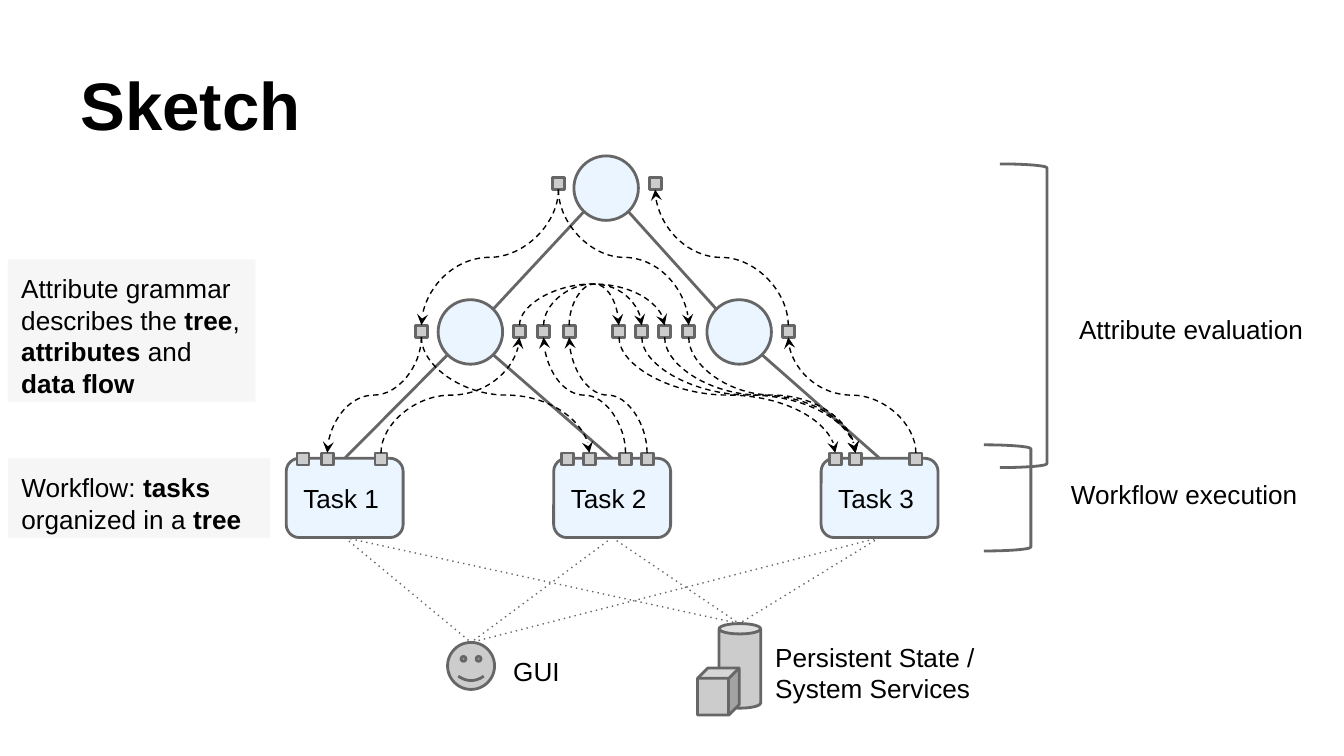
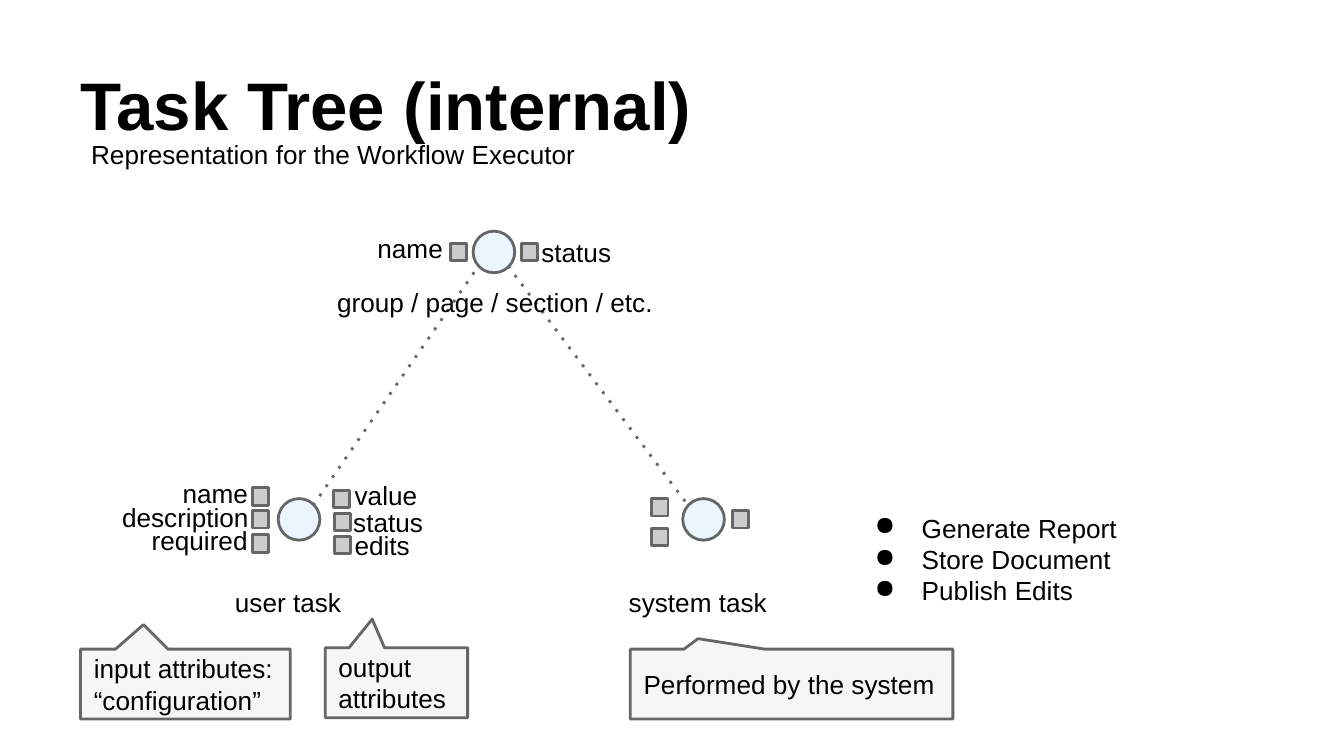
from lxml import etree
from pptx import Presentation
from pptx.dml.color import RGBColor
from pptx.enum.shapes import MSO_CONNECTOR, MSO_SHAPE
from pptx.enum.text import MSO_ANCHOR
from pptx.oxml.ns import qn
from pptx.util import Inches, Pt

BLACK = RGBColor(0x00, 0x00, 0x00)
GRAY = RGBColor(0x66, 0x66, 0x66)
SILVER = RGBColor(0xCC, 0xCC, 0xCC)
PALE_GRAY = RGBColor(0xF6, 0xF6, 0xF6)
PALE_BLUE = RGBColor(0xEA, 0xF5, 0xFF)

RECTANGLE, ROUNDED, OVAL = MSO_SHAPE.RECTANGLE, MSO_SHAPE.ROUNDED_RECTANGLE, MSO_SHAPE.OVAL
CAN, CUBE, SMILEY = MSO_SHAPE.CAN, MSO_SHAPE.CUBE, MSO_SHAPE.SMILEY_FACE
BRACKET, CALLOUT = MSO_SHAPE.RIGHT_BRACKET, MSO_SHAPE.RECTANGULAR_CALLOUT
STRAIGHT, CURVE = MSO_CONNECTOR.STRAIGHT, MSO_CONNECTOR.CURVE
TOP, MIDDLE, BOTTOM = MSO_ANCHOR.TOP, MSO_ANCHOR.MIDDLE, MSO_ANCHOR.BOTTOM

# Square grid: 100 columns across, 56.25 rows down
presentation = Presentation()
presentation.slide_width = Inches(10)
presentation.slide_height = Inches(5.625)
UNIT = presentation.slide_width // 100

BODY = {"name": "Arial", "size": Pt(14)}
TITLE = {"name": "Arial", "size": Pt(36), "bold": True}


def add_box(slide, kind, left, top, width, height, fill=None, line=GRAY,
            texts=(), anchor=TOP, font=BODY, bullets=False):
    """Add a shape, or a text box if kind is None; *stars* mark bold words."""
    place = [round(value * UNIT) for value in (left, top, width, height)]
    if kind is None:
        shape = slide.shapes.add_textbox(*place)
    else:
        shape = slide.shapes.add_shape(kind, *place)
        shape.shadow.inherit = False
        if fill is None:
            shape.fill.background()
        else:
            shape.fill.solid()
            shape.fill.fore_color.rgb = fill
        if line is None:
            shape.line.fill.background()
        else:
            shape.line.color.rgb = line
            shape.line.width = Pt(1.5)
    frame = shape.text_frame
    frame.word_wrap = True
    frame.vertical_anchor = anchor
    for side in ("left", "right", "top", "bottom"):
        setattr(frame, "margin_" + side, UNIT)
    for number, text in enumerate(texts):
        paragraph = frame.add_paragraph() if number else frame.paragraphs[0]
        properties = paragraph._p.get_or_add_pPr()
        properties.set("algn", "l")
        if bullets:
            properties.set("marL", str(5 * UNIT))
            properties.set("indent", str(round(-3.5 * UNIT)))
            etree.SubElement(properties, qn("a:buChar")).set("char", "●")
        for index, part in enumerate(text.split("*")):
            for row, words in enumerate(part.split("\n")):
                if row:
                    paragraph.add_line_break()
                if not words:
                    continue
                run = paragraph.add_run()
                run.text = words
                run.font.color.rgb = BLACK
                for name, value in font.items():
                    setattr(run.font, name, value)
                if index % 2:
                    run.font.bold = True
    return shape


def add_line(slide, kind, start, end, color=GRAY, width=1.5, dash=None, arrow=None):
    ends = [round(value * UNIT) for value in (*start, *end)]
    connector = slide.shapes.add_connector(kind, *ends)
    connector.line.color.rgb = color
    connector.line.width = Pt(width)
    outline = connector.element.spPr.find(qn("a:ln"))
    if dash:
        etree.SubElement(outline, qn("a:prstDash")).set("val", dash)
    if arrow:
        etree.SubElement(outline, qn("a:tailEnd")).set("type", arrow)
    etree.SubElement(connector.element.spPr, qn("a:effectLst"))
    return connector


# Slides and titles
slides = []
for title in ("Sketch", "Task Tree (internal)"):
    slide = presentation.slides.add_slide(presentation.slide_layouts[6])
    add_box(slide, None, 5, 2.3, 90, 9.4, texts=[title], anchor=BOTTOM, font=TITLE)
    slides.append(slide)
sketch, task_tree = slides

# Sketch: tasks, tree nodes and services
tasks = [add_box(sketch, ROUNDED, 21.3 + 19.9 * number, 34.1, 8.7, 5.9, PALE_BLUE,
                 texts=[f"Task {number + 1}"], anchor=MIDDLE) for number in range(3)]
for left, top in ((32.6, 22.3), (52.6, 22.3), (42.7, 11.6)):
    add_box(sketch, OVAL, left, top, 4.8, 4.8, PALE_BLUE)
add_box(sketch, CAN, 53.5, 46.4, 3.1, 6.3, SILVER)
smiley = add_box(sketch, SMILEY, 33.3, 47.8, 3.5, 3.5, SILVER)
add_box(sketch, CUBE, 51.9, 49.7, 3.1, 3.5, SILVER)

# Sketch: tree branches
for start, end in (((43.4, 15.8), (36.7, 23)), ((46.8, 15.8), (53.3, 23))):
    add_line(sketch, STRAIGHT, start, end)
for task, start in zip(tasks, ((33.3, 26.4), (36.7, 26.4), (56.7, 26.4))):
    branch = add_line(sketch, STRAIGHT, start, (50, 34.1))
    branch.end_connect(task, 0)

# Sketch: every task uses the GUI and the services
for task in tasks:
    for target in ((35, 47.8), (55, 46.4)):
        link = add_line(sketch, STRAIGHT, (50, 40), target, width=0.75, dash="dot")
        link.begin_connect(task, 2)
        if target[0] == 35:
            link.end_connect(smiley, 0)

# Sketch: brackets and labels
add_box(sketch, BRACKET, 74.4, 12.2, 3.5, 22.6)
add_box(sketch, BRACKET, 73.2, 33.1, 3.5, 7.9)
for text, left, top, width, height in (
    ("GUI", 37.2, 47.8, 5.8, 4.8),
    ("Persistent State / System Services", 56.7, 46.7, 17.3, 5.9),
    ("Attribute evaluation", 79.3, 22.3, 19.2, 4.8),
    ("Workflow execution", 78.7, 34.6, 20.3, 4.8),
):
    add_box(sketch, None, left, top, width, height, texts=[text])

# Sketch: attribute squares, by tree level
SQUARE = 0.9
level_tops = (13.2, 24.2, 33.7)
level_lefts = (
    (41.1, 48.3),
    (30.9, 38.2, 40, 41.9, 45.6, 47.3, 49, 50.8, 58.2),
    (22.1, 23.9, 27.9, 41.8, 43.4, 46.1, 47.7, 61.7, 63.2, 67.7),
)
for top, lefts in zip(level_tops, level_lefts):
    for left in lefts:
        add_box(sketch, RECTANGLE, left, top, SQUARE, SQUARE, SILVER)

# Sketch: data flow as (level, square) to (level, square)
ARC_RISE, ARC_DROP = 2.6, 0.01
for (level, square), (next_level, next_square) in (
    ((1, 0), (2, 1)), ((2, 2), (1, 1)), ((2, 5), (1, 2)), ((2, 6), (1, 3)),
    ((1, 4), (2, 7)), ((1, 5), (2, 8)), ((1, 6), (2, 8)), ((1, 7), (2, 8)),
    ((2, 9), (1, 8)), ((1, 8), (0, 1)), ((1, 0), (2, 4)), ((0, 0), (1, 0)),
    ((0, 0), (1, 7)), ((1, 1), (1, 6)), ((1, 2), (1, 5)), ((1, 3), (1, 4)),
):
    start_x = level_lefts[level][square] + SQUARE / 2
    end_x = level_lefts[next_level][next_square] + SQUARE / 2
    start_y, end_y = level_tops[level], level_tops[next_level]
    if level < next_level:
        start_y += SQUARE
    elif level > next_level:
        end_y += SQUARE
    else:
        end_y += ARC_DROP
    # The curve is laid out sideways around its centre, then turned upright
    across, down = end_x - start_x, end_y - start_y
    center_x, center_y = (start_x + end_x) / 2, (start_y + end_y) / 2
    half_width, half_height = abs(down) / 2, abs(across) / 2
    if (across > 0) == (down > 0):
        half_width = -half_width
    flow = add_line(sketch, CURVE, (center_x - half_width, center_y - half_height),
                    (center_x + half_width, center_y + half_height),
                    BLACK, 0.75, "dash", "stealth")
    flow.rotation = 270 if across > 0 else 90
    if level == next_level:
        guide = etree.SubElement(flow.element.find(".//" + qn("a:avLst")), qn("a:gd"))
        guide.set("name", "adj1")
        guide.set("fmla", f"val {round(-ARC_RISE / ARC_DROP * 100000)}")

# Sketch: notes on the left
for text, top, width, height in (
    ("Attribute grammar describes the *tree*, *attributes* and *data flow*", 19.3, 18.4, 10.6),
    ("Workflow: *tasks* organized in a *tree*", 34.1, 19.5, 5.9),
):
    add_box(sketch, RECTANGLE, 0.6, top, width, height, PALE_GRAY, None, [text])

# Task tree: nodes and branches
for left, top in ((35.2, 17.2), (20.7, 37.1), (50.8, 37.1)):
    add_box(task_tree, OVAL, left, top, 3.1, 3.1, PALE_BLUE)
for start, end in (((23.3, 37.6), (35.6, 19.8)), ((37.8, 19.8), (51.2, 37.6))):
    add_line(task_tree, STRAIGHT, start, end, dash="dot")

# Task tree: attribute squares
for left, top in (
    (33.5, 18.1), (38.8, 18.1),
    (18.8, 36.3), (18.8, 38), (18.8, 39.8),
    (24.8, 36.5), (24.9, 38.2), (24.9, 39.9),
    (48.5, 37.1), (48.5, 39.3), (54.5, 38),
):
    add_box(task_tree, RECTANGLE, left, top, 1.2, 1.3, SILVER)

# Task tree: labels
for text, left, top, width, height in (
    ("Representation for the Workflow Executor", 5.8, 9.3, 45, 4.2),
    ("name", 27.1, 16.3, 7.1, 4.8),
    ("status", 39.3, 16.6, 7.6, 4.2),
    ("group / page / section / etc.", 24.1, 20.3, 26.7, 4.8),
    ("name", 12.6, 34.5, 7.1, 4.8),
    ("description", 8.1, 36.3, 11.6, 4.8),
    ("required", 10.3, 38, 9.4, 4.8),
    ("value", 25.4, 34.7, 7.1, 4.8),
    ("status", 25.3, 36.7, 9.4, 4.2),
    ("edits", 25.4, 38.4, 7.6, 4.2),
    ("user task", 16.5, 42.6, 11.6, 4.2),
    ("system task", 45.8, 42.6, 13, 4.2),
):
    add_box(task_tree, None, left, top, width, height, texts=[text])
add_box(task_tree, None, 62.6, 37.1, 24, 12.5, bullets=True,
        texts=["Generate Report", "Store Document", "Publish Edits"])

# Task tree: callouts with their tips
for text, left, top, width, tip in (
    ("input attributes:\n“configuration”", 6, 48.3, 15.6, (-0.2, -0.85)),
    ("output attributes", 24.2, 48.2, 10.6, (-0.17, -0.91)),
    ("Performed by the system", 46.9, 48.3, 24, (-0.29, -0.65)),
):
    callout = add_box(task_tree, CALLOUT, left, top, width, 5.2, PALE_GRAY,
                      texts=[text], anchor=MIDDLE)
    callout.adjustments[0], callout.adjustments[1] = tip

presentation.save("out.pptx")
